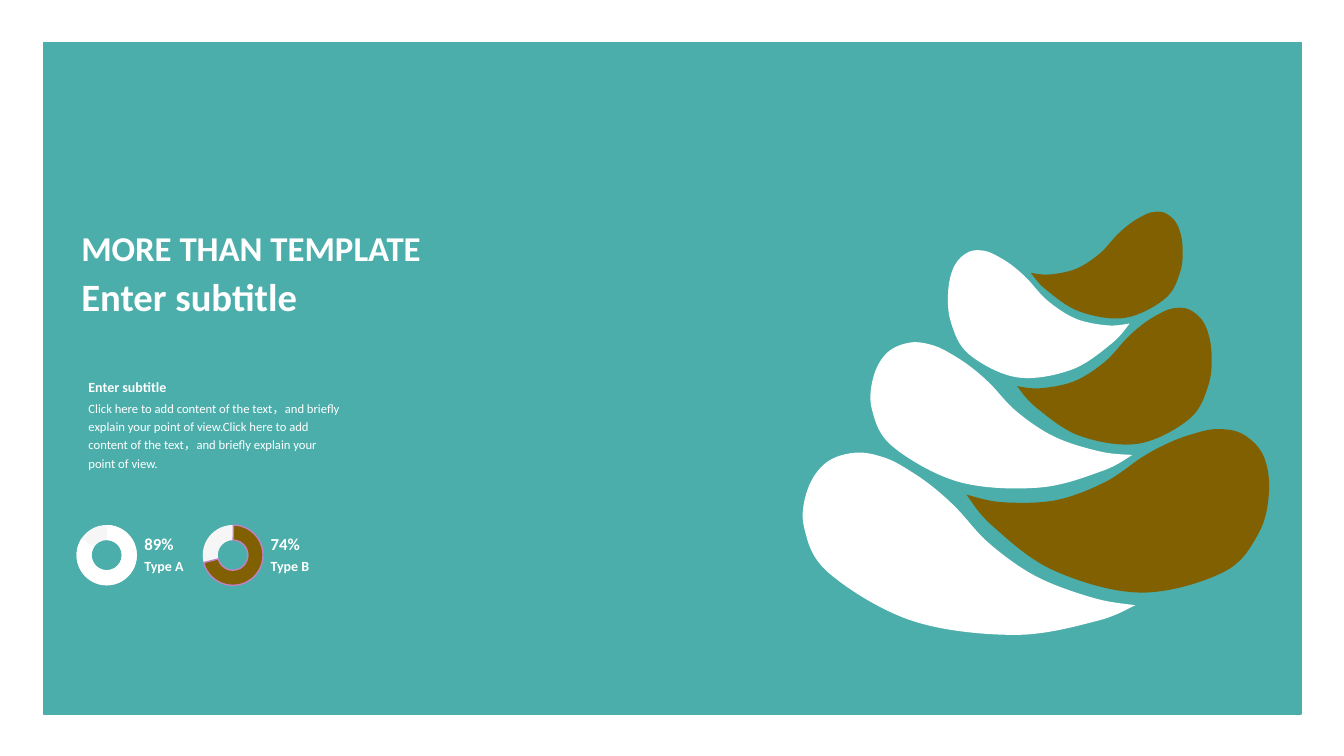
from lxml import etree
from pptx import Presentation
from pptx import util as u
from pptx.dml.color import RGBColor
from pptx.enum import shapes, text
from pptx.oxml import ns

WHITE, TEAL, BROWN, PALE, PINK = "FFFFFF", "4BAEAB", "806000", "F6F6F6", "C380C5"
FONT = "Calibri"
BACKDROP = (1.09, 1.07, 31.7, 16.92)
TITLE = [("MORE THAN TEMPLATE", 24.9, True), ("Enter subtitle", 27.6, True)]
BODY = [
    ("Enter subtitle", 10, True),
    ("Click here to add content of the text，and briefly explain your point of view."
     "Click here to add content of the text，and briefly explain your point of view.", 9, False),
]
DIALS = [
    ("89%", "Type A", 1.93, 128.04, WHITE, None),
    ("74%", "Type B", 5.11, 99.36, BROWN, PINK),
]
DIAL_TOP, DIAL_SIZE, ARC_START, RING = 13.23, 1.52, 162.64, 0.25
LEAF_WIDTH, LEAF_HEIGHT = 1950, 1380
LEAF = [
    (0, 780), (190, 990), (620, 1270), (1200, 1350), (1710, 1105), (1900, 770),
    (1930, 430), (1860, 160), (1710, 20), (1540, 10), (1380, 80), (1230, 180),
    (1090, 305), (870, 540), (570, 730), (230, 800), (0, 780),
]
LEAVES = [
    ((19.99, 12.04, 8.79, 3.96), 12.9, WHITE),
    ((25.63, 7.75, 4.95, 3.51), 0, BROWN),
    ((23.85, 6.3, 4.62, 3.28), 0, WHITE),
    ((25.98, 5.33, 3.86, 2.74), 0, BROWN),
    ((24.36, 10.46, 7.62, 4.47), 7.8, BROWN),
    ((21.79, 8.99, 6.83, 3.38), 9.6, WHITE),
]


def color(hex_code):
    return RGBColor.from_string(hex_code)


def paint(sp, fill, line=None):
    sp.shadow.inherit = False
    sp.fill.solid()
    sp.fill.fore_color.rgb = color(fill)
    if line:
        sp.line.color.rgb = color(line)
        sp.line.width = u.Pt(1)
    else:
        sp.line.fill.background()


def add_preset(s, kind, box, fill, line=None, adj=()):
    sp = s.shapes.add_shape(kind, *map(u.Cm, box))
    paint(sp, fill, line)
    for i, value in enumerate(adj):
        sp.adjustments[i] = value


def add_text(s, paragraphs, box, spacing=1.0, before=0, inset=(0, 0),
             anchor=text.MSO_ANCHOR.TOP):
    tf = s.shapes.add_textbox(*map(u.Cm, box)).text_frame
    tf.word_wrap = True
    tf.vertical_anchor = anchor
    tf.margin_left = tf.margin_right = u.Cm(inset[0])
    tf.margin_top = tf.margin_bottom = u.Cm(inset[1])
    for i, (words, size, bold) in enumerate(paragraphs):
        p = tf.add_paragraph() if i else tf.paragraphs[0]
        p.line_spacing = spacing
        p.space_before = u.Pt(before)
        r = p.add_run()
        r.text = words
        r.font.name, r.font.size, r.font.bold = FONT, u.Pt(size), bold
        r.font.color.rgb = color(WHITE)


def add_command(outline, name, points):
    command = etree.SubElement(outline, ns.qn(name))
    for x, y in points:
        etree.SubElement(command, ns.qn("a:pt"), x=str(round(x)), y=str(round(y)))


def toward(start, back, ahead):
    return tuple(v + (b - a) / 6 for v, a, b in zip(start, back, ahead))


def curve_outline(sp, points):
    outline = sp._element.find(".//" + ns.qn("a:path"))
    for command in list(outline):
        outline.remove(command)
    outline.set("w", str(LEAF_WIDTH))
    outline.set("h", str(LEAF_HEIGHT))
    add_command(outline, "a:moveTo", points[:1])
    ends = [points[0]] + points + [points[-1]]
    for a, b, c, d in zip(ends, ends[1:], ends[2:], ends[3:]):
        add_command(outline, "a:cubicBezTo", [toward(b, a, c), toward(c, d, b), c])
    add_command(outline, "a:close", [])


def add_leaf(s, box, rotation, fill):
    points = [(LEAF_WIDTH - x if fill == WHITE else x, y) for x, y in LEAF]
    builder = s.shapes.build_freeform(*points[0], scale=u.Cm(0.01))
    builder.add_line_segments(points[1:], close=True)
    sp = builder.convert_to_shape()
    curve_outline(sp, points)
    sp.left, sp.top, sp.width, sp.height = map(u.Cm, box)
    sp.rotation = rotation
    paint(sp, fill)


def main():
    prs = Presentation()
    prs.slide_width, prs.slide_height = u.Cm(33.87), u.Cm(19.05)
    s = prs.slides.add_slide(prs.slide_layouts[6])
    kinds = shapes.MSO_SHAPE
    add_preset(s, kinds.RECTANGLE, BACKDROP, TEAL, TEAL)

    for box, rotation, fill in LEAVES:
        add_leaf(s, box, rotation, fill)

    for percent, label, left, arc_end, fill, line in DIALS:
        box = (left, DIAL_TOP, DIAL_SIZE, DIAL_SIZE)
        add_preset(s, kinds.DONUT, box, PALE, adj=[RING])
        add_preset(s, kinds.BLOCK_ARC, box, fill, line, [ARC_START, arc_end, RING])
        for words, size, top, height in ((percent, 12, 13.51, 0.74), (label, 10, 14.1, 0.46)):
            add_text(s, [(words, size, True)], (left + 1.71, top, 2, height),
                     spacing=0.9, before=7.5)

    add_text(s, BODY, (1.93, 9.3, 6.99, 2.54), spacing=1.2, before=2, inset=(0.3, 0.15))
    add_text(s, TITLE, (1.8, 5.54, 11.2, 2.59), spacing=1.1, inset=(0.25, 0.13),
             anchor=text.MSO_ANCHOR.MIDDLE)
    prs.save("out.pptx")


if __name__ == "__main__":
    main()
